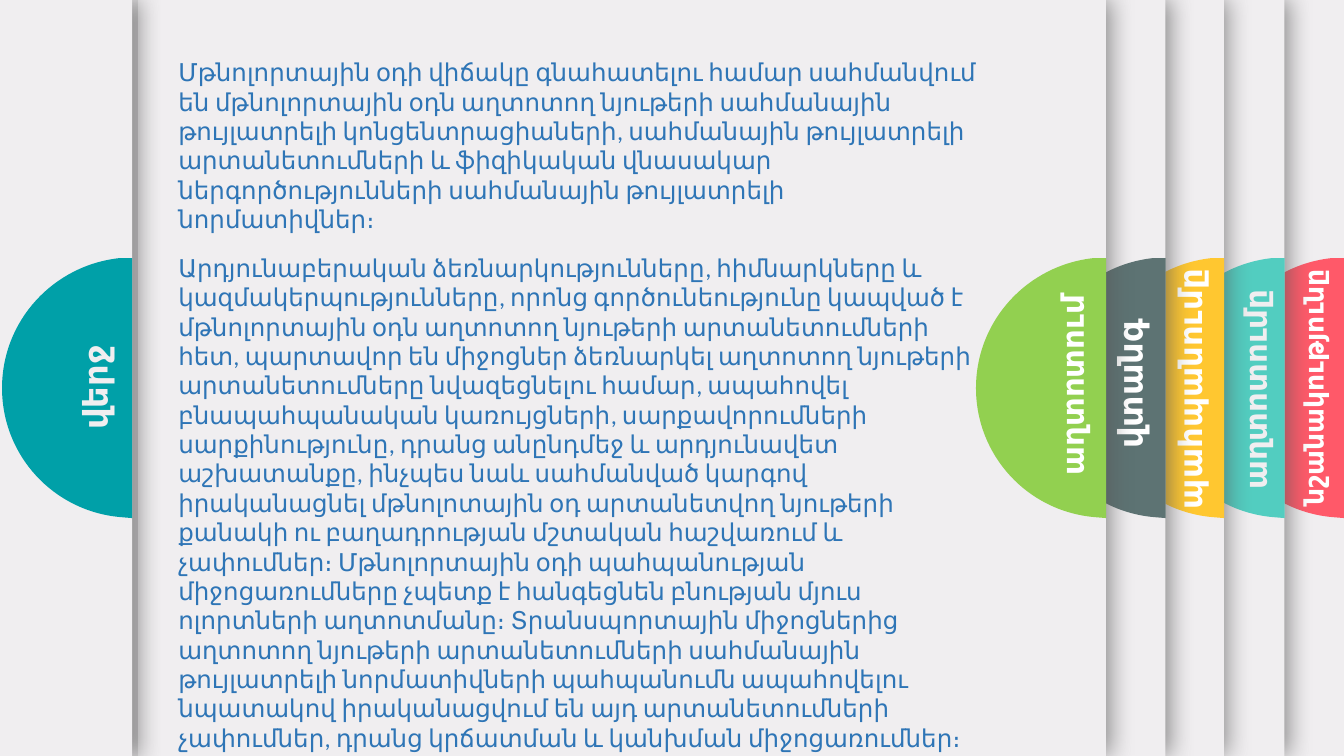
from collections import namedtuple
from dataclasses import dataclass

from lxml.etree import SubElement
from pptx import Presentation
from pptx.dml.color import RGBColor as Rgb
from pptx.enum.shapes import MSO_SHAPE as Shape
from pptx.enum.text import MSO_AUTO_SIZE as Fit, PP_ALIGN as Align
from pptx.oxml.ns import qn
from pptx.util import Emu, Pt

UNIT = 9144
WIDE, HIGH = 1333, 750
Box = namedtuple("Box", "x y w h")


@dataclass(frozen=True)
class Theme:
    """Colours, fonts and type sizes of the slide."""
    paper: str = "F0EEF0"
    white: str = "FFFFFF"
    shade: str = "595959"
    body: str = "2E75B6"
    red: str = "FF5969"
    mint: str = "52CDC0"
    gold: str = "FFC730"
    slate: str = "5D7373"
    green: str = "92D050"
    teal: str = "00A0A8"
    font: str = "Calibri"
    lead: str = "Roboto"
    text: float = 17.5
    small: int = 19
    mid: int = 22
    semi: int = 23
    large: int = 24


THEME = Theme()


def px(n):
    """Turn px into EMU."""
    return Emu(n * UNIT)


def hue(code):
    """Turn a hex code into a colour."""
    return Rgb.from_string(code)


def paint(shape, code):
    """Give a shape a flat fill, no line and no inherited shadow."""
    shape.fill.solid()
    shape.fill.fore_color.rgb = hue(code)
    shape.line.fill.background()
    shape.shadow.inherit = False


def shade(shape):
    """Cast a soft shadow to the right of a shape."""
    fx = shape._element.spPr.find(qn("a:effectLst"))
    cast = SubElement(fx, qn("a:outerShdw"), blurRad=str(Pt(17)),
                      dist=str(Pt(3)), dir="0", algn="l", rotWithShape="0")
    tint = SubElement(cast, qn("a:srgbClr"), val=THEME.shade)
    SubElement(tint, qn("a:alpha"), val="65000")


def write(shapes, box, parts, size, code, bold=False, align=Align.LEFT):
    """Place one paragraph made of (text, font) parts in a box."""
    area = shapes.add_textbox(*map(px, box))
    frame = area.text_frame
    frame.word_wrap = True
    frame.auto_size = Fit.SHAPE_TO_FIT_TEXT
    para = frame.paragraphs[0]
    para.alignment = align
    for text, name in parts:
        run = para.add_run()
        run.text = text
        run.font.name = name
        run.font.size = Pt(size)
        run.font.bold = bold
        run.font.color.rgb = hue(code)
    return area


def disc(shapes, edge, code):
    """Draw a half disc whose flat side lies on the given edge."""
    dots = [(0, 256), (0, 514), (-12, 513), (-78, 507), (-129, 452),
            (-129, 385), (-129, 318), (-78, 263), (-12, 256)]
    dots = [(px(edge + x), px(y)) for x, y in dots]
    path = shapes.build_freeform(*dots[0])
    path.add_line_segments(dots[1:], close=True)
    shape = path.convert_to_shape()
    lines = list(shape._element.iter(qn("a:lnTo")))[2:8]
    for first in (0, 3):
        trio = lines[first:first + 3]
        curve = SubElement(trio[0].getparent(), qn("a:cubicBezTo"))
        trio[0].addprevious(curve)
        for line in trio:
            curve.append(line[0])
            line.getparent().remove(line)
    paint(shape, code)


def panel(slide, left, edge, code, label, parts, size, ink):
    """Build a sheet ending at an edge, with its half disc and label."""
    shapes = slide.shapes.add_group_shape().shapes
    sheet = shapes.add_shape(Shape.RECTANGLE,
                             *map(px, (left, 0, edge - left, HIGH)))
    paint(sheet, THEME.paper)
    shade(sheet)
    disc(shapes, edge, code)
    box = label._replace(x=edge + label.x)
    area = write(shapes, box, parts, size, ink, True, Align.CENTER)
    area.rotation = 270


def body(slide, box):
    """Write the two text blocks within a box."""
    blocks = [
        (0, 162, "Մթնոլորտային օդի վիճակը գնահատելու համար սահմանվում են "
         "մթնոլորտային օդն աղտոտող նյութերի սահմանային թույլատրելի "
         "կոնցենտրացիաների, սահմանային թույլատրելի արտանետումների և "
         "ֆիզիկական վնասակար ներգործությունների սահմանային թույլատրելի "
         "նորմատիվներ։"),
        (194, 495, "Արդյունաբերական ձեռնարկությունները, հիմնարկները և "
         "կազմակերպությունները, որոնց գործունեությունը կապված է "
         "մթնոլորտային օդն աղտոտող նյութերի արտանետումների հետ, պարտավոր "
         "են միջոցներ ձեռնարկել աղտոտող նյութերի արտանետումները "
         "նվազեցնելու համար, ապահովել բնապահպանական կառույցների, "
         "սարքավորումների սարքինությունը, դրանց անընդմեջ և արդյունավետ "
         "աշխատանքը, ինչպես նաև սահմանված կարգով իրականացնել մթնոլոտային "
         "օդ արտանետվող նյութերի քանակի ու բաղադրության մշտական հաշվառում "
         "և չափումներ։ Մթնոլորտային օդի պահպանության միջոցառումները "
         "չպետք է հանգեցնեն բնության մյուս ոլորտների աղտոտմանը։ "
         "Տրանսպորտային միջոցներից աղտոտող նյութերի արտանետումների "
         "սահմանային թույլատրելի նորմատիվների պահպանումն ապահովելու "
         "նպատակով իրականացվում են այդ արտանետումների չափումներ, դրանց "
         "կրճատման և կանխման միջոցառումներ։"),
    ]
    for drop, high, text in blocks:
        write(slide.shapes, Box(box.x, box.y + drop, box.w, high),
              [(text, THEME.font)], THEME.text, THEME.body)


def build(slide):
    """Stack the right panels, the text and the left panel."""
    t = THEME
    tabs = [
        (-32, 1333, t.red, Box(-159, 363, 257, 42),
         [("նշանակությունը", t.font)], t.small, t.white),
        (10, 1274, t.mint, Box(-163, 366, 268, 48),
         [(" աղտոտումը", t.font)], t.mid, t.paper),
        (114, 1214, t.gold, Box(-167, 364, 268, 51),
         [(" պահպանումը", t.font)], t.semi, t.white),
        (99, 1156, t.slate, Box(-164, 359, 257, 51),
         [(" վտանգ", t.font)], t.large, t.white),
        (137, 1097, t.green, Box(-169, 358, 271, 48),
         [("ա", t.lead), ("ղտոտում", t.font)], t.mid, t.white),
    ]
    for tab in tabs:
        panel(slide, *tab)
    body(slide, Box(167, 52, 822, 689))
    panel(slide, -965, 131, t.teal, Box(-146, 359, 218, 51),
          [("վերջ", t.font)], t.large, t.paper)


def main():
    """Make the deck and save it."""
    deck = Presentation()
    deck.slide_width, deck.slide_height = px(WIDE), px(HIGH)
    slide = deck.slides.add_slide(deck.slide_layouts[6])
    fill = slide.background.fill
    fill.solid()
    fill.fore_color.rgb = hue(THEME.paper)
    build(slide)
    deck.save("out.pptx")


if __name__ == "__main__":
    main()
